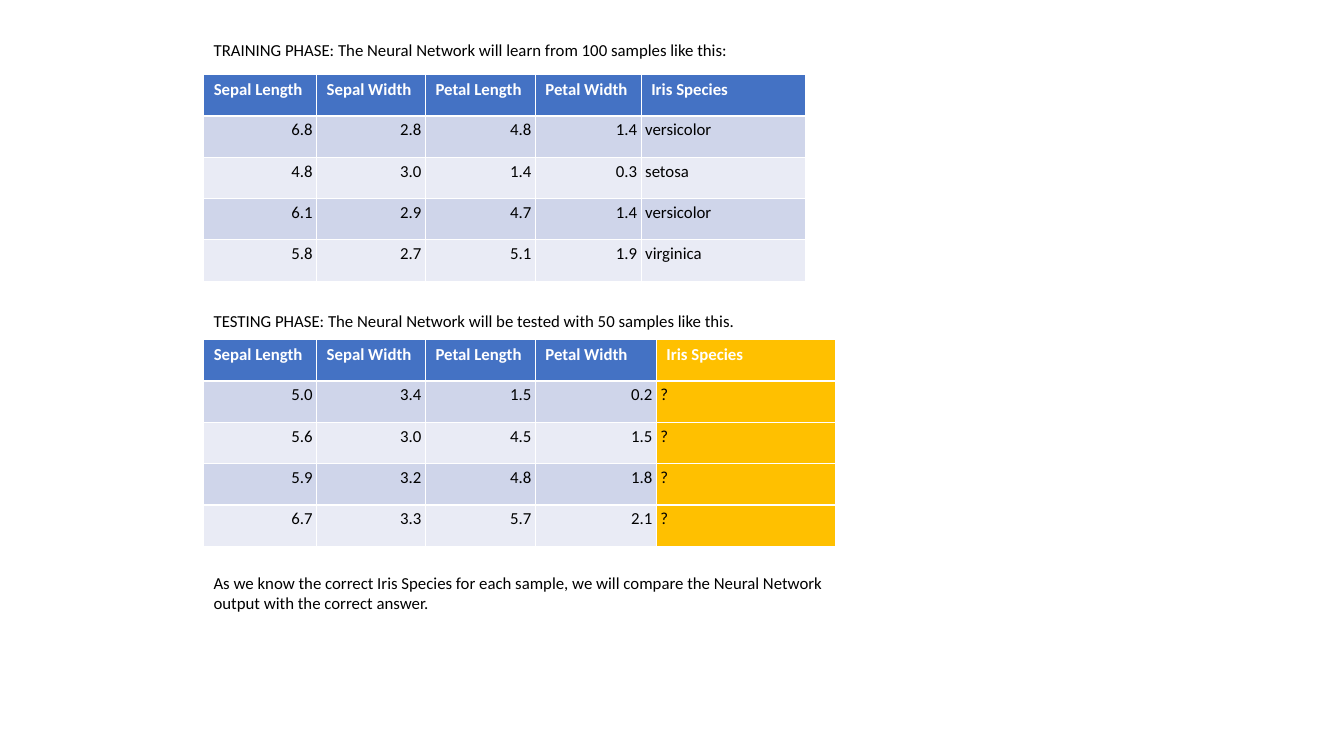
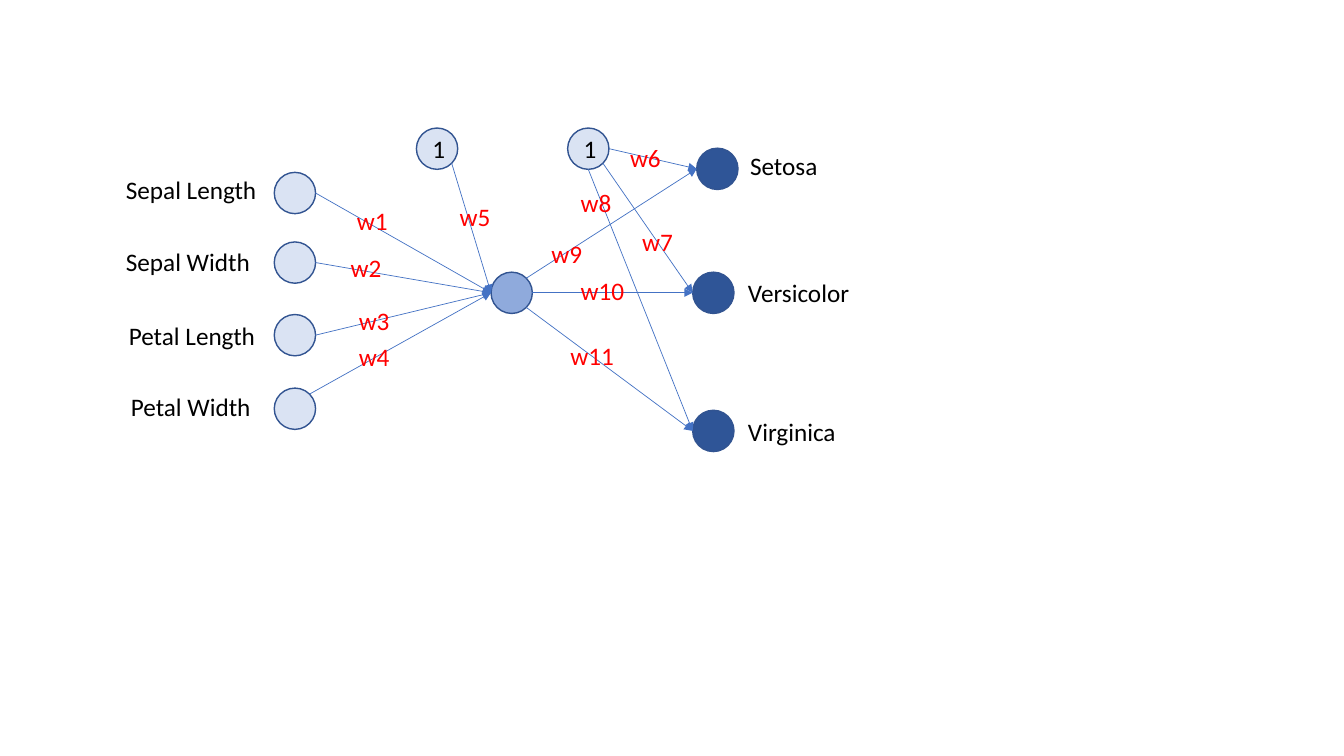
import math

import pptx
import pptx.dml.color
import pptx.enum.shapes
import pptx.enum.text
import pptx.oxml
import pptx.oxml.ns
import pptx.util
from lxml import etree
from pptx.util import Inches

FONT = "Calibri"
BLACK, WHITE, RED = "000000", "FFFFFF", "FF0000"
BLUE, GOLD = "4472C4", "FFC000"
BANDS = ("CFD5EA", "E9EBF5")
PALE, MEDIUM, DARK, OUTLINE = "DAE3F3", "8FAADC", "2F5597", "325491"
MARGIN = 2.02
ROW_HEIGHT = 0.41
CELL_INSET = 0.04
DIAMETER = 0.41
LABEL_HEIGHT = 0.4
TOP, LEFT, BOTTOM, LOWER_RIGHT, RIGHT, UPPER_RIGHT = 0, 2, 4, 5, 6, 7

HEADERS = ["Sepal Length", "Sepal Width", "Petal Length", "Petal Width", "Iris Species"]
TRAINING = [
    ["6.8", "2.8", "4.8", "1.4", "versicolor"],
    ["4.8", "3.0", "1.4", "0.3", "setosa"],
    ["6.1", "2.9", "4.7", "1.4", "versicolor"],
    ["5.8", "2.7", "5.1", "1.9", "virginica"],
]
TESTING = [
    ["5.0", "3.4", "1.5", "0.2", "?"],
    ["5.6", "3.0", "4.5", "1.5", "?"],
    ["5.9", "3.2", "4.8", "1.8", "?"],
    ["6.7", "3.3", "5.7", "2.1", "?"],
]
NODES = {
    "sepal length": (2.72, 1.71, PALE, ""),
    "sepal width": (2.72, 2.4, PALE, ""),
    "petal length": (2.72, 3.12, PALE, ""),
    "petal width": (2.72, 3.85, PALE, ""),
    "hidden": (4.87, 2.7, MEDIUM, ""),
    "setosa": (6.91, 1.47, DARK, ""),
    "versicolor": (6.87, 2.7, DARK, ""),
    "virginica": (6.87, 4.07, DARK, ""),
    "hidden bias": (4.13, 1.27, PALE, "1"),
    "output bias": (5.63, 1.27, PALE, "1"),
}
EDGES = [
    ("sepal length", RIGHT, "hidden"),
    ("sepal width", RIGHT, "hidden"),
    ("petal length", RIGHT, "hidden"),
    ("petal width", UPPER_RIGHT, "hidden"),
    ("hidden bias", LOWER_RIGHT, "hidden"),
    ("hidden", UPPER_RIGHT, "setosa"),
    ("hidden", RIGHT, "versicolor"),
    ("hidden", LOWER_RIGHT, "virginica"),
    ("output bias", RIGHT, "setosa"),
    ("output bias", LOWER_RIGHT, "versicolor"),
    ("output bias", BOTTOM, "virginica"),
]
NODE_LABELS = [
    ("Sepal Length", 1.15, 1.68, 1.51),
    ("Sepal Width", 1.15, 2.39, 1.45),
    ("Petal Length", 1.18, 3.13, 1.47),
    ("Petal Width", 1.2, 3.83, 1.4),
    ("Setosa", 7.34, 1.44, 0.88),
    ("Versicolor", 7.32, 2.7, 1.22),
    ("Virginica", 7.32, 4.08, 1.08),
]
WEIGHT_LABELS = [
    ("w1", 3.44, 1.99), ("w2", 3.38, 2.45), ("w3", 3.46, 2.98), ("w4", 3.46, 3.34),
    ("w5", 4.46, 1.95), ("w6", 6.15, 1.36), ("w7", 6.27, 2.2), ("w8", 5.66, 1.81),
    ("w9", 5.37, 2.32), ("w10", 5.66, 2.68), ("w11", 5.56, 3.33),
]


def rgb(value):
    return pptx.dml.color.RGBColor.from_string(value)


def paint(target, color):
    target.fill.solid()
    target.fill.fore_color.rgb = rgb(color)


def set_text(tf, text, size, color=BLACK, bold=False, align=None):
    tf.text = text
    for p in tf.paragraphs:
        p.alignment = align
        for r in p.runs:
            r.font.name = FONT
            r.font.size = pptx.util.Pt(size)
            r.font.bold = bold
            r.font.color.rgb = rgb(color)


def add_text(s, text, x, y, w, h, size, color=BLACK, wrap=True):
    tf = s.shapes.add_textbox(Inches(x), Inches(y), Inches(w), Inches(h)).text_frame
    tf.word_wrap = wrap
    tf.auto_size = pptx.enum.text.MSO_AUTO_SIZE.SHAPE_TO_FIT_TEXT
    set_text(tf, text, size, color, align=pptx.enum.text.PP_ALIGN.LEFT)


def add_samples(s, y, widths, samples, species_fill=None):
    rows = [HEADERS] + samples
    frame = s.shapes.add_table(len(rows), len(widths), Inches(MARGIN), Inches(y),
                               Inches(sum(widths)), Inches(ROW_HEIGHT * len(rows)))
    table = frame.table
    for column, width in zip(table.columns, widths):
        column.width = Inches(width)
    last = len(widths) - 1
    for i, row in enumerate(rows):
        for j, text in enumerate(row):
            cell = table.cell(i, j)
            fill = BANDS[(i - 1) % 2] if i else BLUE
            paint(cell, species_fill if species_fill and j == last else fill)
            if i == 0:
                set_text(cell.text_frame, text, 12, WHITE, bold=True)
                continue
            cell.margin_left = cell.margin_right = Inches(CELL_INSET)
            cell.margin_top = cell.margin_bottom = Inches(CELL_INSET)
            align = pptx.enum.text.PP_ALIGN.LEFT if j == last else pptx.enum.text.PP_ALIGN.RIGHT
            set_text(cell.text_frame, text, 12, align=align)


def add_node(s, x, y, fill, text):
    sp = s.shapes.add_shape(pptx.enum.shapes.MSO_SHAPE.OVAL, Inches(x), Inches(y),
                            Inches(DIAMETER), Inches(DIAMETER))
    sp.shadow.inherit = False
    paint(sp, fill)
    sp.line.color.rgb = rgb(OUTLINE)
    sp.line.width = pptx.util.Pt(1)
    if text:
        sp.text_frame.vertical_anchor = pptx.enum.text.MSO_ANCHOR.MIDDLE
        set_text(sp.text_frame, text, 18, align=pptx.enum.text.PP_ALIGN.CENTER)
    return sp


def site_point(sp, site):
    angle = math.radians(45 * site)
    radius = sp.width / 2
    return (round(sp.left + radius - radius * math.sin(angle)),
            round(sp.top + radius - radius * math.cos(angle)))


def add_edge(s, source, site, target):
    line = s.shapes.add_connector(pptx.enum.shapes.MSO_CONNECTOR.STRAIGHT,
                                  *site_point(source, site), *site_point(target, LEFT))
    line.line.color.rgb = rgb(BLUE)
    line.line.width = pptx.util.Pt(0.5)
    qn = pptx.oxml.ns.qn
    etree.SubElement(line.line._get_or_add_ln(), qn("a:tailEnd"), type="triangle")
    etree.SubElement(line._element.spPr, qn("a:effectLst"))
    ends = line._element.find(".//" + qn("p:cNvCxnSpPr"))
    for tag, sp, idx in (("a:stCxn", source, site), ("a:endCxn", target, LEFT)):
        etree.SubElement(ends, qn(tag), id=str(sp.shape_id), idx=str(idx))


def build_phases(s):
    add_text(s, "TRAINING PHASE: The Neural Network will learn from 100 samples like this:",
             MARGIN, 0.35, 6.51, 0.3, 12)
    add_samples(s, 0.74, [1.12, 1.08, 1.09, 1.05, 1.63], TRAINING)
    add_text(s, "TESTING PHASE: The Neural Network will be tested with 50 samples like this.",
             MARGIN, 3.03, 5.79, 0.3, 12)
    add_samples(s, 3.37, [1.12, 1.08, 1.09, 1.2, 1.78], TESTING, GOLD)
    add_text(s, "As we know the correct Iris Species for each sample, we will compare "
             "the Neural Network output with the correct answer.",
             MARGIN, 5.63, 6.74, 0.5, 12)


def build_network(s):
    nodes = {name: add_node(s, *node) for name, node in NODES.items()}
    for source, site, target in EDGES:
        add_edge(s, nodes[source], site, nodes[target])
    for text, x, y, w in NODE_LABELS:
        add_text(s, text, x, y, w, LABEL_HEIGHT, 18, wrap=False)
    for text, x, y in WEIGHT_LABELS:
        width = 0.51 if len(text) == 2 else 0.64
        add_text(s, text, x, y, width, LABEL_HEIGHT, 18, RED, wrap=False)


def main():
    prs = pptx.Presentation()
    prs.slide_width, prs.slide_height = Inches(13.33), Inches(7.5)
    for build in (build_phases, build_network):
        build(prs.slides.add_slide(prs.slide_layouts[6]))
    prs.save("out.pptx")


if __name__ == "__main__":
    main()
